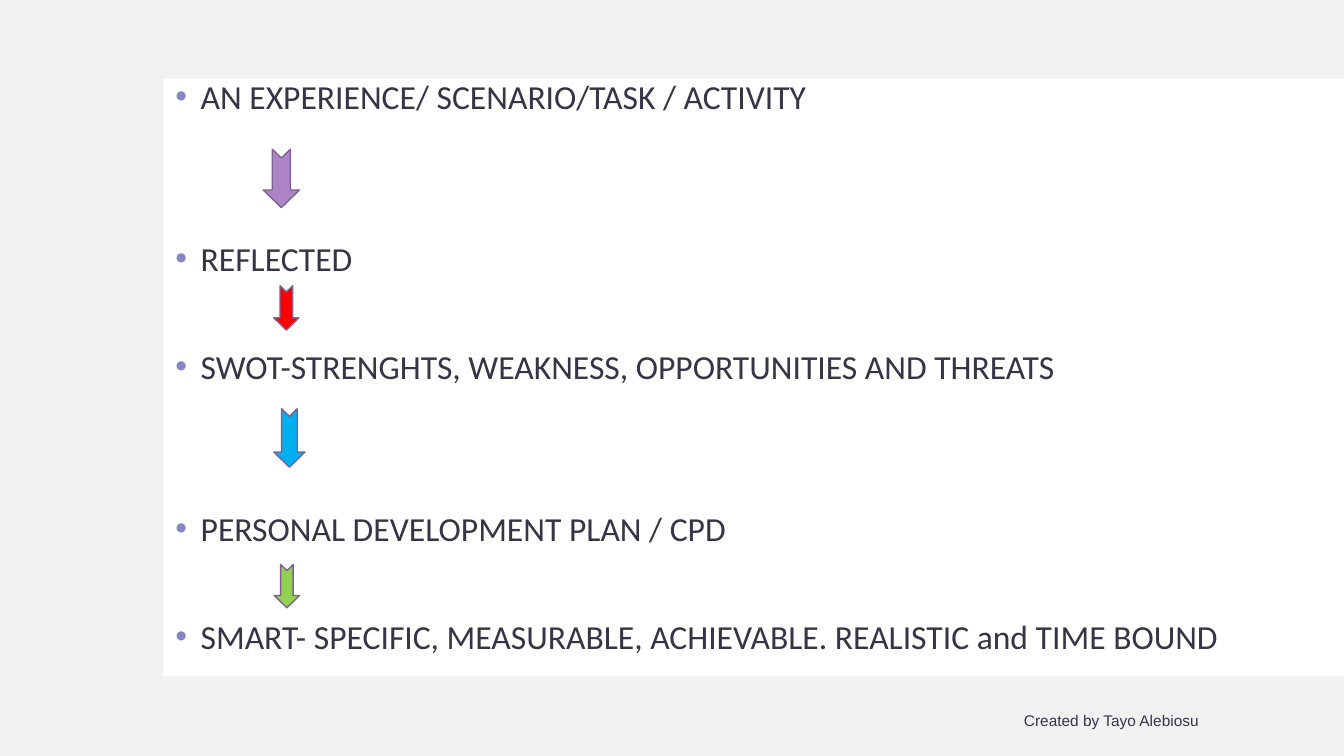
from typing import NamedTuple

from lxml import etree
from pptx import Presentation
from pptx.dml.color import RGBColor
from pptx.enum import shapes, text
from pptx.oxml import ns
from pptx.util import Inches, Pt

WHITE = RGBColor(0xFF, 0xFF, 0xFF)
GREY = RGBColor(0xDC, 0xD8, 0xDC)
INK = RGBColor(0x37, 0x35, 0x45)
LILAC = RGBColor(0x87, 0x84, 0xC7)
PLUM = RGBColor(0x80, 0x62, 0x92)
PURPLE = RGBColor(0xAD, 0x84, 0xC6)
RED = RGBColor(0xFF, 0x00, 0x00)
BLUE = RGBColor(0x00, 0xB0, 0xF0)
GREEN = RGBColor(0x92, 0xD0, 0x50)

WIDE, HIGH = 13.33, 7.5
LINE = 29.3  # height of one 24 pt line, in points
PITCH = 38.8  # one row of the list, in points


class Step(NamedTuple):
    label: str
    rows: int  # rows down from the step before


class Arrow(NamedTuple):
    left: float
    top: float
    width: float
    height: float
    fill: RGBColor


STEPS = [
    Step("AN EXPERIENCE/ SCENARIO/TASK / ACTIVITY", 0),
    Step("REFLECTED", 3),
    Step("SWOT-STRENGHTS, WEAKNESS, OPPORTUNITIES AND THREATS", 2),
    Step("PERSONAL DEVELOPMENT PLAN / CPD", 3),
    Step("SMART- SPECIFIC, MEASURABLE, ACHIEVABLE. REALISTIC and TIME BOUND", 2),
]
ARROWS = [
    Arrow(2.5, 1.59, 0.58, 0.36, PURPLE),
    Arrow(2.62, 2.93, 0.44, 0.25, RED),
    Arrow(2.58, 4.19, 0.58, 0.31, BLUE),
    Arrow(2.63, 5.69, 0.43, 0.25, GREEN),
]


def add_form(slide, kind, left: float, top: float, width: float, height: float,
             fill: RGBColor):
    """Add a preset shape with a plain fill, no line and no shadow."""
    form = slide.shapes.add_shape(
        kind, Inches(left), Inches(top), Inches(width), Inches(height))
    form.shadow.inherit = False
    form.fill.solid()
    form.fill.fore_color.rgb = fill
    form.line.fill.background()
    return form


def set_font(para, name: str, size: int) -> None:
    para.font.name = name
    para.font.size = Pt(size)
    para.font.color.rgb = INK


def add_bullet(para) -> None:
    props = para._p.get_or_add_pPr()
    props.set("marL", str(Inches(0.25)))
    props.set("indent", str(-Inches(0.25)))
    tint = etree.SubElement(props, ns.qn("a:buClr"))
    etree.SubElement(tint, ns.qn("a:srgbClr"), val=str(LILAC))
    etree.SubElement(props, ns.qn("a:buFont"), typeface="Arial")
    etree.SubElement(props, ns.qn("a:buChar"), char="•")


def add_back(slide) -> None:
    """Draw the tinted page and the white panel."""
    rect = shapes.MSO_SHAPE.RECTANGLE
    page = add_form(slide, rect, 0, 0, WIDE, HIGH, GREY)
    tint = page._element.spPr.find(".//" + ns.qn("a:srgbClr"))
    etree.SubElement(tint, ns.qn("a:alpha"), val="35000")
    add_form(slide, rect, 1.62, 0.78, WIDE - 1.62, 5.93, WHITE)


def fill_list(body) -> None:
    body.left, body.top = Inches(1.64), Inches(0.7)
    body.width, body.height = Inches(WIDE - 1.64), Inches(6.1)
    frame = body.text_frame
    frame.auto_size = text.MSO_AUTO_SIZE.NONE
    frame.vertical_anchor = text.MSO_ANCHOR.TOP
    for i, step in enumerate(STEPS):
        para = frame.add_paragraph() if i else frame.paragraphs[0]
        para.text = step.label
        add_bullet(para)
        para.space_before = Pt(step.rows * PITCH - LINE if i else 0)
        set_font(para, "Calibri", 24)


def add_arrow(slide, arrow: Arrow) -> None:
    form = add_form(slide, shapes.MSO_SHAPE.NOTCHED_RIGHT_ARROW, *arrow)
    form.rotation = 90
    form.adjustments[1] = 0.486
    form.line.color.rgb = PLUM
    form.line.width = Pt(1)


def add_credit(slide) -> None:
    box = slide.shapes.add_textbox(
        Inches(4.12), Inches(6.8), Inches(7.87), Inches(0.7))
    frame = box.text_frame
    frame.word_wrap = True
    frame.vertical_anchor = text.MSO_ANCHOR.MIDDLE
    para = frame.paragraphs[0]
    para.text = "Created by Tayo Alebiosu"
    para.alignment = text.PP_ALIGN.RIGHT
    set_font(para, "Arial", 11)


def main() -> None:
    deck = Presentation()
    deck.slide_width, deck.slide_height = Inches(WIDE), Inches(HIGH)
    slide = deck.slides.add_slide(deck.slide_layouts[1])
    title, body = slide.placeholders
    title._element.getparent().remove(title._element)
    add_back(slide)
    slide.shapes._spTree.append(body._element)  # bring the list to the front
    fill_list(body)
    for arrow in ARROWS:
        add_arrow(slide, arrow)
    add_credit(slide)
    deck.save("out.pptx")


if __name__ == "__main__":
    main()
